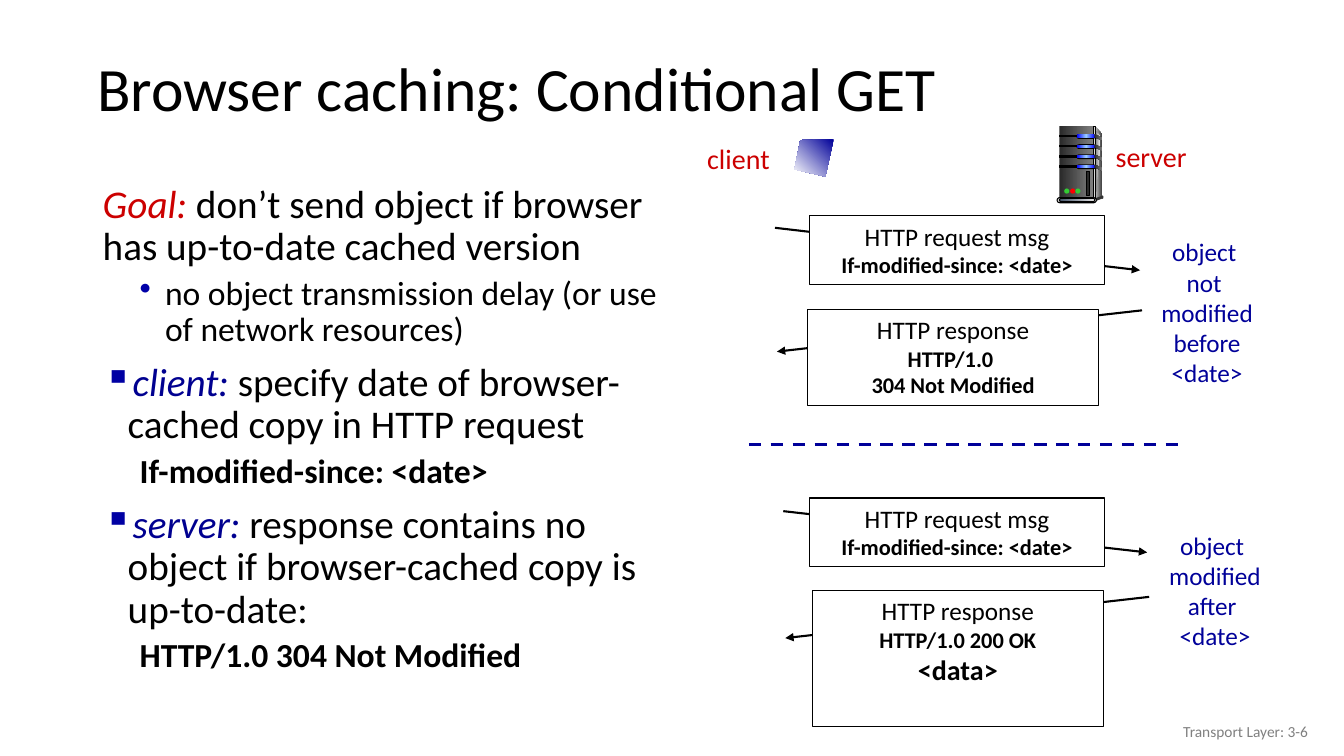
from lxml import etree
from pptx import Presentation
from pptx.dml.color import RGBColor
from pptx.enum import dml, shapes, text
from pptx.oxml.ns import qn
from pptx.util import Cm, Pt

FONT = "Calibri"
BLACK, RED, NAVY, BLUE, WHITE = "000000", "CC0000", "000090", "000099", "FFFFFF"
GREY, DARK, STEEL, PALE = "808080", "333333", "292929", "DDDDDD"

TITLE = "Browser caching: Conditional GET"
FOOTER = "Transport Layer: 3-6"

# kind, lead, lead colour, rest
BODY = [
    ("goal", "Goal:", RED, " don’t send object if browser has up-to-date cached version"),
    ("detail", "no object transmission delay (or use of network resources)", BLACK, ""),
    ("point", "client: ", NAVY, "specify date of browser-cached copy in HTTP request"),
    ("code", "If-modified-since: <date>", BLACK, ""),
    ("point", "server: ", NAVY,
     "response contains no object if browser-cached copy is up-to-date:"),
    ("code", "HTTP/1.0 304 Not Modified", BLACK, ""),
]
# kind: size, space before, left margin (cm), first-line indent (cm), bullet, bullet colour
BODY_STYLES = {
    "goal": (28, 0, 0.36, 0, None, None),
    "detail": (24, 5, 1.93, -0.64, "•", "0000A8"),
    "point": (28, 10, 0.99, -0.61, "▪", "0000A3"),
    "code": (24, 5, 1.93, -0.64, None, None),
}

REQUEST = [("HTTP request msg", 18), ("If-modified-since: <date>", 16)]
NOT_MODIFIED = [("HTTP response", 18), ("HTTP/1.0 ", 16), ("304 Not Modified", 16)]
MODIFIED = [("HTTP response", 18), ("HTTP/1.0 200 OK", 16), ("<data>", 20)]
# arrow start and end, box, lines (all cm)
MESSAGES = [
    ((19.53, 5.74, 28.73, 6.81), (20.4, 5.44, 7.44, 1.73), REQUEST),
    ((28.78, 7.82, 19.58, 8.86), (20.35, 7.8, 7.34, 2.41), NOT_MODIFIED),
    ((19.74, 12.88, 28.91, 13.92), (20.4, 12.55, 7.44, 1.73), REQUEST),
    ((28.96, 15.04, 19.79, 16.08), (20.47, 14.88, 7.34, 3.43), MODIFIED),
]
DIVIDER = (18.87, 11.2, 29.72, 11.2)
LABELS = [
    ((28.96, 5.84, 2.92, 4.06), ["object ", "not ", "modified", "before", "<date>"], 18, BLUE),
    ((29.16, 13.23, 2.92, 3.3), ["object ", "modified", "after ", "<date>"], 18, BLUE),
    ((17.53, 3.43, 2.16, 1.09), ["client"], 20, RED),
    ((27.84, 3.4, 2.34, 1.12), ["server"], 20, RED),
]

SCREEN = [(21.01, 3.51), (20.17, 3.53), (20.02, 4.27), (20.8, 4.45)]
CABINET_SIDE = [(27.61, 3.2), (27.79, 3.4), (27.79, 4.93), (27.56, 5)]
CABINET_GLINT = [(27.61, 3.3), (27.74, 3.45), (27.61, 4.95)]
CABINET_FOOT = [(27.58, 5), (27.58, 5.08), (27.79, 5), (27.79, 4.93)]
BAY_COUNT, BAY_TOP, BAY_STEP = 4, 3.38, 0.255
LIGHTS = [(26.82, "33CC33"), (26.97, "FF0000"), (27.1, "33CC33")]

RECT = shapes.MSO_SHAPE.RECTANGLE
PILL = shapes.MSO_SHAPE.ROUNDED_RECTANGLE
OVAL = shapes.MSO_SHAPE.OVAL
CENTER = text.PP_ALIGN.CENTER


def rgb(value):
    return RGBColor.from_string(value)


def style_font(font, size, color, bold=False, italic=False):
    font.name, font.size, font.bold, font.italic = FONT, Pt(size), bold, italic
    font.color.rgb = rgb(color)


def paint(shape, colors, outline=False, angle=0):
    """Fill with one colour, or with a gradient of evenly spaced colours."""
    shape.shadow.inherit = False
    if len(colors) == 1:
        shape.fill.solid()
        shape.fill.fore_color.rgb = rgb(colors[0])
    else:
        shape.fill.gradient()
        shape.fill.gradient_angle = angle
        stops = shape._element.spPr.find(".//" + qn("a:gsLst"))
        for stop in list(stops):
            stops.remove(stop)
        for i, color in enumerate(colors):
            place = str(100000 * i // (len(colors) - 1))
            stop = etree.SubElement(stops, qn("a:gs"), pos=place)
            etree.SubElement(stop, qn("a:srgbClr"), val=color)
    if outline:
        shape.line.color.rgb = rgb(BLACK)
        shape.line.width = Pt(0.75)
    else:
        shape.line.fill.background()


def add_part(page, kind, place, *colors, outline=False):
    shape = page.shapes.add_shape(kind, *map(Cm, place))
    if kind == PILL:
        shape.adjustments[0] = 0.5
    paint(shape, colors, outline)
    return shape


def add_outline(page, points, *colors, angle=0):
    corners = [(Cm(x), Cm(y)) for x, y in points]
    builder = page.shapes.build_freeform(*corners[0], scale=1.0)
    builder.add_line_segments(corners[1:], close=True)
    paint(builder.convert_to_shape(), colors, angle=angle)


def add_line(page, ends, color, width):
    line = page.shapes.add_connector(shapes.MSO_CONNECTOR.STRAIGHT, *map(Cm, ends))
    line.line.color.rgb = rgb(color)
    line.line.width = Pt(width)
    etree.SubElement(line._element.spPr, qn("a:effectLst"))
    return line


def add_text(page, place, lines, size, color, align=None, wrap=True, anchor=None):
    box = page.shapes.add_textbox(*map(Cm, place))
    frame = box.text_frame
    frame.text = "\n".join(lines)
    frame.word_wrap = wrap
    frame.vertical_anchor = anchor
    for para in frame.paragraphs:
        para.alignment = align
        style_font(para.runs[0].font, size, color)
    return frame


def add_body(page):
    frame = page.shapes.add_textbox(Cm(1.98), Cm(4.52), Cm(15.55), Cm(14.25)).text_frame
    frame.word_wrap = True
    for i, (kind, lead, color, rest) in enumerate(BODY):
        size, before, margin, indent, bullet, bullet_color = BODY_STYLES[kind]
        para = frame.add_paragraph() if i else frame.paragraphs[0]
        para.text = lead
        props = para._p.get_or_add_pPr()
        props.set("marL", str(Cm(margin)))
        props.set("indent", str(Cm(indent)))
        para.line_spacing = 0.9
        para.space_before = Pt(before)
        if bullet:
            tint = etree.SubElement(props, qn("a:buClr"))
            etree.SubElement(tint, qn("a:srgbClr"), val=bullet_color)
            etree.SubElement(props, qn("a:buChar"), char=bullet)
        style_font(para.runs[0].font, size, color, kind == "code", bool(rest))
        if rest:
            span = para.add_run()
            span.text = rest
            style_font(span.font, size, BLACK)


def add_message(page, ends, place, lines):
    arrow = add_line(page, ends, BLACK, 1.5)
    etree.SubElement(arrow.line._get_or_add_ln(), qn("a:tailEnd"), type="triangle")
    frame = add_part(page, RECT, place, WHITE, outline=True).text_frame
    frame.text = "\n".join(line for line, _ in lines)
    frame.vertical_anchor = text.MSO_ANCHOR.TOP
    for i, (para, (_, size)) in enumerate(zip(frame.paragraphs, lines)):
        para.alignment = CENTER
        style_font(para.runs[0].font, size, BLACK, bold=i > 0)


def add_server(page):
    add_outline(page, CABINET_SIDE, PALE, DARK)
    add_part(page, RECT, (26.7, 3.18, 0.86, 1.83), STEEL, GREY)
    add_outline(page, CABINET_GLINT, GREY, "F8F8F8")
    add_part(page, RECT, (27.56, 3.18, 0.05, 1.83), DARK, PALE, DARK, outline=True)
    for i in range(BAY_COUNT):
        top = BAY_TOP + i * BAY_STEP
        add_part(page, RECT, (26.7, top + 0.03, 0.48, 0.04), BLACK, outline=True)
        add_part(page, PILL, (27.13, top, 0.48, 0.12), BLACK)
        add_part(page, PILL, (27.14, top + 0.01, 0.46, 0.08), "0000FF", "99CCFF", "0000FF")
        flap = [(27.58, top), (27.79, top + 0.1), (27.79, top + 0.16), (27.58, top + 0.08)]
        add_outline(page, flap, STEEL, GREY)
    add_part(page, OVAL, (27.76, 4.93, 0.05, 0.08), DARK)
    add_outline(page, CABINET_FOOT, DARK)
    add_part(page, PILL, (26.64, 4.98, 0.99, 0.13), PALE, outline=True)
    add_part(page, PILL, (26.7, 5, 0.89, 0.08), "44546A", "E7E6E6", outline=True)
    for left, color in LIGHTS:
        add_part(page, OVAL, (left, 4.75, 0.13, 0.13), color)
    add_part(page, RECT, (27.38, 4.32, 0.08, 0.61), STEEL, outline=True)


def main():
    deck = Presentation()
    deck.slide_width, deck.slide_height = Cm(33.87), Cm(19.05)
    page = deck.slides.add_slide(deck.slide_layouts[6])
    middle = text.MSO_ANCHOR.MIDDLE
    title = add_text(page, (2.2, 1.07, 29.2, 2.49), [TITLE], 44, BLACK, anchor=middle)
    title.paragraphs[0].line_spacing = 0.9
    add_body(page)
    for message in MESSAGES:
        add_message(page, *message)
    add_line(page, DIVIDER, BLUE, 2.25).line.dash_style = dml.MSO_LINE.DASH
    for label in LABELS:
        add_text(page, *label, align=CENTER, wrap=False)
    add_server(page)
    add_outline(page, SCREEN, BLUE, WHITE, angle=225)
    add_text(page, (25.6, 17.91, 7.62, 1.02), [FOOTER], 11, GREY,
             align=text.PP_ALIGN.RIGHT, anchor=middle)
    deck.save("out.pptx")


if __name__ == "__main__":
    main()
